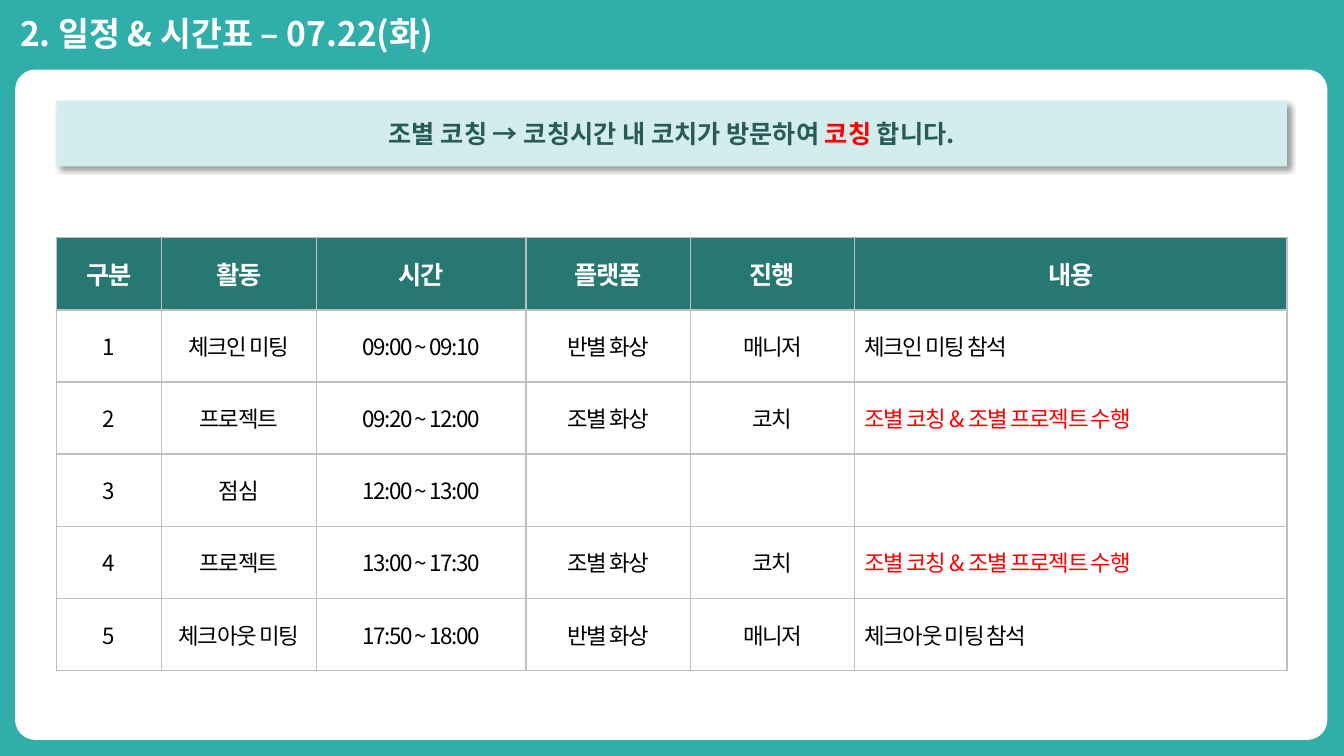
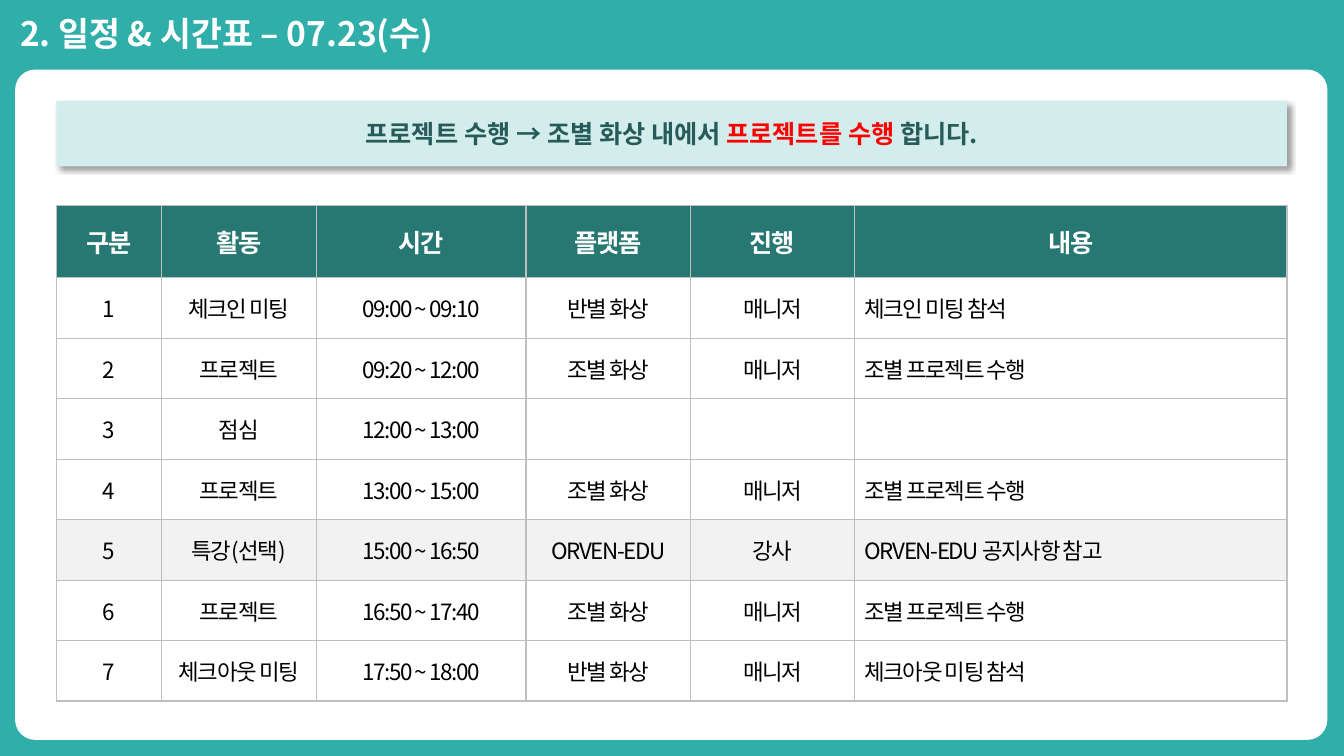
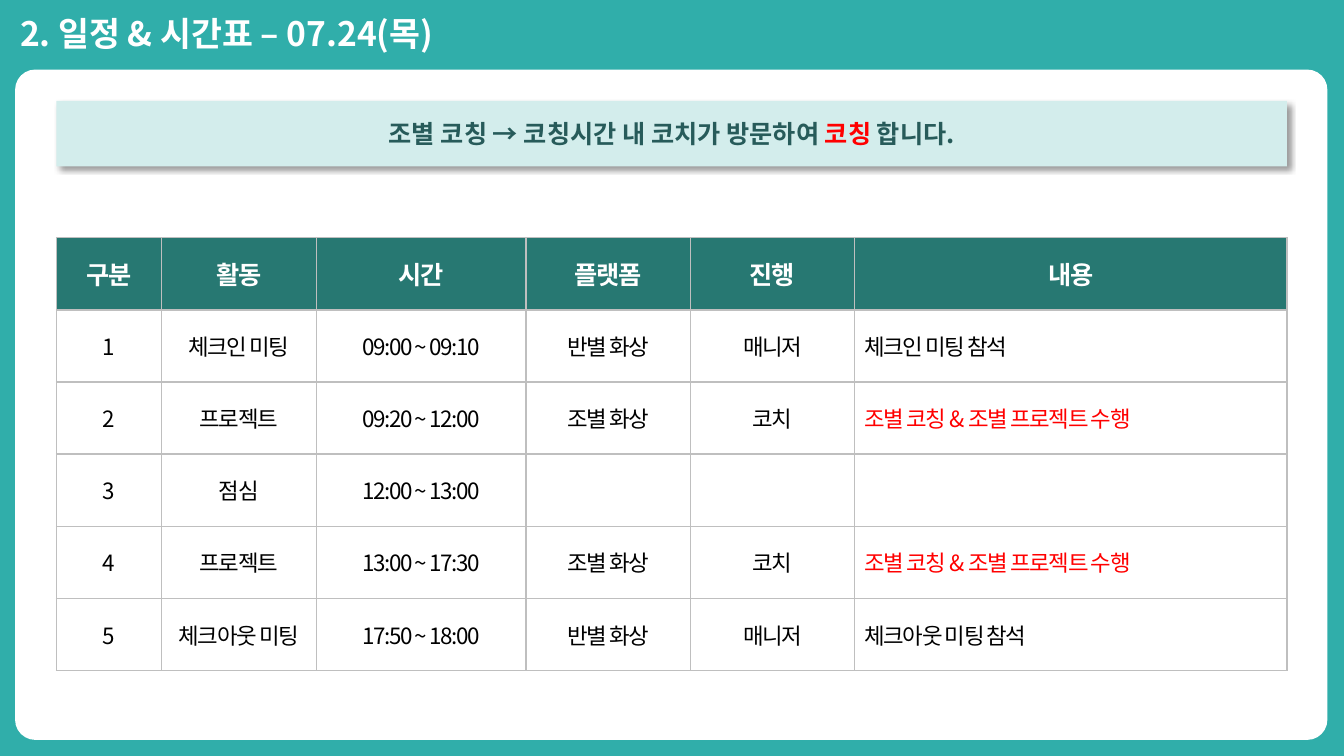
import pptx
import pptx.util
import pptx.dml.color
import pptx.enum.shapes
import pptx.enum.text
import pptx.oxml
import pptx.oxml.ns

RGBColor = pptx.dml.color.RGBColor
Align = pptx.enum.text.PP_ALIGN
Anchor = pptx.enum.text.MSO_ANCHOR
Shape = pptx.enum.shapes.MSO_SHAPE

TEAL = RGBColor(0x30, 0xAE, 0xAA)
DARK_TEAL = RGBColor(0x27, 0x78, 0x72)
DEEP_TEAL = RGBColor(0x27, 0x5B, 0x5A)
PALE_TEAL = RGBColor(0xD3, 0xED, 0xEC)
WHITE = RGBColor(0xFF, 0xFF, 0xFF)
BLACK = RGBColor(0, 0, 0)
RED = RGBColor(0xFF, 0, 0)
LIGHT_GRAY = RGBColor(0xF2, 0xF2, 0xF2)
BORDER_GRAY = RGBColor(0xBF, 0xBF, 0xBF)

FONT = "Noto Sans CJK KR"
PX_PER_INCH = 200
SLIDE_SIZE = (2667, 1500)
TITLE_BOX = (20, 16, 1012, 100)
PANEL_BOX = (30, 138, 2604, 1330)
BANNER_BOX = (112, 200, 2442, 130)
COLUMN_WIDTHS = (208, 308, 416, 326, 326, 858)
HEADER_HEIGHT = 143

HEADERS = ("구분", "활동", "시간", "플랫폼", "진행", "내용")
COACHING_TASK = "조별 코칭 & 조별 프로젝트 수행"
CHECK_IN = ("체크인 미팅", "09:00 ~ 09:10", "반별 화상", "매니저", "체크인 미팅 참석")
LUNCH = ("점심", "12:00 ~ 13:00", "", "", "")
LECTURE = ("특강(선택)", "15:00 ~ 16:50", "ORVEN-EDU", "강사", "ORVEN-EDU 공지사항 참고")
CHECK_OUT = ("체크아웃 미팅", "17:50 ~ 18:00", "반별 화상", "매니저", "체크아웃 미팅 참석")


def coaching(time):
    return ("프로젝트", time, "조별 화상", "코치", COACHING_TASK)


def project(time):
    return ("프로젝트", time, "조별 화상", "매니저", "조별 프로젝트 수행")


COACHING_DAY = {
    "banner": (("조별 코칭 → 코칭시간 내 코치가 방문하여 ", DEEP_TEAL), ("코칭", RED), (" 합니다.", DEEP_TEAL)),
    "table_top": 472,
    "row_height": 143,
    "rows": (CHECK_IN, coaching("09:20 ~ 12:00"), LUNCH, coaching("13:00 ~ 17:30"), CHECK_OUT),
}
PROJECT_DAY = {
    "banner": (("프로젝트 수행 → 조별 화상 내에서 ", DEEP_TEAL), ("프로젝트를 수행 ", RED), ("합니다.", DEEP_TEAL)),
    "table_top": 408,
    "row_height": 120,
    "rows": (CHECK_IN, project("09:20 ~ 12:00"), LUNCH, project("13:00 ~ 15:00"),
             LECTURE, project("16:50 ~ 17:40"), CHECK_OUT),
}
DAYS = (("07.22(화)", COACHING_DAY), ("07.23(수)", PROJECT_DAY), ("07.24(목)", COACHING_DAY))


def px(length):
    return pptx.util.Emu(length * 914400 // PX_PER_INCH)


def place(box):
    return [px(length) for length in box]


def add_xml(parent, tag, **attributes):
    child = pptx.oxml.ns.qn(tag)
    element = parent.makeelement(child, {key: str(value) for key, value in attributes.items()})
    parent.append(element)
    return element


def style(para, size, color, bold, align, spacing=None):
    para.alignment = align
    font = para.font
    font.name, font.size, font.bold = FONT, pptx.util.Pt(size), bold
    font.color.rgb = color
    properties = para._p.pPr.find(pptx.oxml.ns.qn("a:defRPr"))
    add_xml(properties, "a:ea", typeface=FONT)
    if spacing is not None:
        properties.set("spc", str(spacing))


def add_block(page, preset, box, color):
    block = page.shapes.add_shape(preset, *place(box))
    block.fill.solid()
    block.fill.fore_color.rgb = color
    block.line.fill.background()
    block.shadow.inherit = False
    return block


def add_title(page, date):
    title = page.shapes.title
    title.left, title.top, title.width, title.height = place(TITLE_BOX)
    frame = title.text_frame
    frame.text = f"2. 일정 & 시간표 – {date}"
    frame.vertical_anchor = Anchor.TOP
    frame.auto_size = pptx.enum.text.MSO_AUTO_SIZE.NONE
    style(frame.paragraphs[0], 24, WHITE, True, Align.LEFT)


def add_banner(page, spans):
    banner = add_block(page, Shape.RECTANGLE, BANNER_BOX, PALE_TEAL)
    effects = banner._element.spPr.find(pptx.oxml.ns.qn("a:effectLst"))
    shadow = add_xml(effects, "a:outerShdw", blurRad=pptx.util.Pt(4), dist=pptx.util.Pt(3),
                     dir=45 * 60000, algn="tl", rotWithShape=0)
    add_xml(add_xml(shadow, "a:srgbClr", val=BLACK), "a:alpha", val=40000)
    frame = banner.text_frame
    frame.word_wrap = False
    frame.vertical_anchor = Anchor.MIDDLE
    para = frame.paragraphs[0]
    style(para, 18, DEEP_TEAL, True, Align.CENTER)
    for text, color in spans:
        span = para.add_run()
        span.text = text
        span.font.color.rgb = color


def fill_cell(cell, text, size, color, bold, align, fill):
    cell.text = text
    cell.vertical_anchor = Anchor.MIDDLE
    style(cell.text_frame.paragraphs[0], size, color, bold, align, -100)
    properties = cell._tc.get_or_add_tcPr()
    for side in "LRTB":
        line = add_xml(properties, f"a:ln{side}", w=pptx.util.Pt(1))
        add_xml(add_xml(line, "a:solidFill"), "a:srgbClr", val=BORDER_GRAY)
    if fill is None:
        cell.fill.background()
    else:
        cell.fill.solid()
        cell.fill.fore_color.rgb = fill


def add_timetable(page, day):
    rows = day["rows"]
    heights = [HEADER_HEIGHT] + [day["row_height"]] * len(rows)
    box = (BANNER_BOX[0], day["table_top"], sum(COLUMN_WIDTHS), sum(heights))
    table = page.shapes.add_table(len(heights), len(HEADERS), *place(box)).table
    table.first_row = table.horz_banding = False
    for column, width in zip(table.columns, COLUMN_WIDTHS):
        column.width = px(width)
    for row, height in zip(table.rows, heights):
        row.height = px(height)
    for column, text in enumerate(HEADERS):
        fill_cell(table.cell(0, column), text, 18, WHITE, True, Align.CENTER, DARK_TEAL)
    for number, row in enumerate(rows, 1):
        fill = LIGHT_GRAY if row is LECTURE else None
        for column, text in enumerate((str(number), *row)):
            color = RED if text == COACHING_TASK else BLACK
            align = Align.LEFT if column == len(HEADERS) - 1 else Align.CENTER
            fill_cell(table.cell(number, column), text, 16, color, False, align, fill)


def main():
    deck = pptx.Presentation()
    deck.slide_width, deck.slide_height = place(SLIDE_SIZE)
    background = deck.slide_master.background.fill
    background.solid()
    background.fore_color.rgb = TEAL
    for date, day in DAYS:
        page = deck.slides.add_slide(deck.slide_layouts.get_by_name("Title Only"))
        add_title(page, date)
        panel = add_block(page, Shape.ROUNDED_RECTANGLE, PANEL_BOX, WHITE)
        panel.adjustments[0] = 0.03
        add_banner(page, day["banner"])
        add_timetable(page, day)
    deck.save("out.pptx")


if __name__ == "__main__":
    main()
